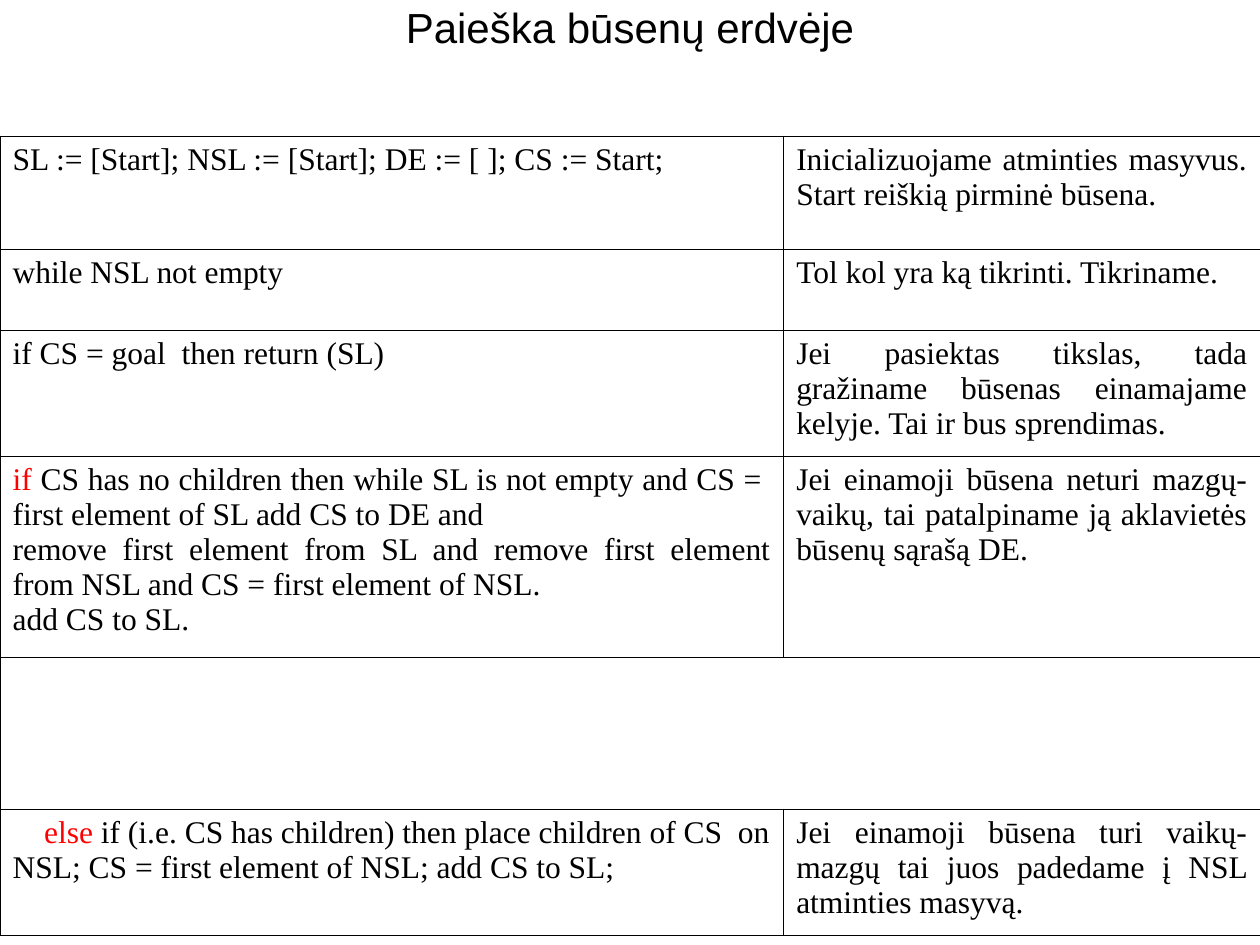
from dataclasses import dataclass

from lxml import etree
from pptx import Presentation
from pptx import util as u
from pptx.dml import color
from pptx.enum import text
from pptx.oxml import ns


@dataclass(frozen=True)
class Theme:
    ink: color.RGBColor = color.RGBColor(0, 0, 0)
    accent: color.RGBColor = color.RGBColor(255, 0, 0)
    paper: color.RGBColor = color.RGBColor(255, 255, 255)
    title_font: str = "Arial"
    body_font: str = "Times New Roman"
    title_size: u.Pt = u.Pt(24)
    body_size: u.Pt = u.Pt(18)
    border: u.Pt = u.Pt(0.45)


@dataclass(frozen=True)
class Line:
    words: str
    keyword: str = ""
    indent: float = 0
    align: text.PP_ALIGN = text.PP_ALIGN.JUSTIFY


@dataclass(frozen=True)
class Step:
    height: float
    code: tuple[Line, ...] = ()
    meaning: str = ""


THEME = Theme()
LEFT = text.PP_ALIGN.LEFT
COLUMNS = (6.22, 3.78)
STEPS = (
    Step(0.9, (Line("SL := [Start]; NSL := [Start]; DE := [ ]; CS := Start;"),),
         "Inicializuojame atminties masyvus. Start reiškią pirminė būsena."),
    Step(0.64, (Line("while NSL not empty"),), "Tol kol yra ką tikrinti. Tikriname."),
    Step(1, (Line("if CS = goal  then return (SL)", align=LEFT),),
         "Jei pasiektas tikslas, tada gražiname būsenas einamajame kelyje. "
         "Tai ir bus sprendimas."),
    Step(1.6, (
        Line(" CS has no children then while SL is not empty and CS =  "
             "first element of SL add CS to DE and", keyword="if"),
        Line("remove first element from SL and remove first element from NSL "
             "and CS = first element of NSL."),
        Line("add CS to SL."),
    ), "Jei einamoji būsena neturi mazgų-vaikų, tai patalpiname ją aklavietės "
       "būsenų sąrašą DE."),
    Step(1.2),
    Step(1, (Line(" if (i.e. CS has children) then place children of CS  on NSL; "
                  "CS = first element of NSL; add CS to SL;",
                  keyword="else", indent=0.25, align=LEFT),),
         "Jei einamoji būsena turi vaikų-mazgų tai juos padedame į NSL "
         "atminties masyvą."),
)


def draw_title(page, words: str) -> None:
    box = page.shapes.add_textbox(u.Inches(0.75), 0, u.Inches(8.5), u.Inches(0.42))
    frame = box.text_frame
    frame.word_wrap = True
    frame.vertical_anchor = text.MSO_ANCHOR.MIDDLE
    frame.margin_top = frame.margin_bottom = 0
    para = frame.paragraphs[0]
    para.text = words
    para.alignment = text.PP_ALIGN.CENTER
    para.font.name = THEME.title_font
    para.font.size = THEME.title_size
    para.font.color.rgb = THEME.ink


def style_cell(cell) -> None:
    properties = cell._tc.get_or_add_tcPr()
    for side in ("a:lnL", "a:lnR", "a:lnT", "a:lnB"):
        edge = etree.SubElement(properties, ns.qn(side), w=str(int(THEME.border)))
        fill = etree.SubElement(edge, ns.qn("a:solidFill"))
        etree.SubElement(fill, ns.qn("a:srgbClr"), val=str(THEME.ink))
    cell.fill.solid()
    cell.fill.fore_color.rgb = THEME.paper


def write_cell(cell, lines: tuple[Line, ...]) -> None:
    frame = cell.text_frame
    for index, line in enumerate(lines):
        para = frame.add_paragraph() if index else frame.paragraphs[0]
        para.alignment = line.align
        para.font.name = THEME.body_font
        para.font.size = THEME.body_size
        para.font.color.rgb = THEME.ink
        if line.indent:
            para._p.get_or_add_pPr().set("indent", str(u.Inches(line.indent)))
        if line.keyword:
            span = para.add_run()
            span.text = line.keyword
            span.font.color.rgb = THEME.accent
        para.add_run().text = line.words


def draw_steps(page, steps: tuple[Step, ...]) -> None:
    height = sum(step.height for step in steps)
    frame = page.shapes.add_table(len(steps), len(COLUMNS), 0, u.Inches(1.08),
                                  u.Inches(sum(COLUMNS)), u.Inches(height))
    table = frame.table
    table.first_row = table.horz_banding = False
    for column, width in zip(table.columns, COLUMNS):
        column.width = u.Inches(width)
    for cell in table.iter_cells():
        style_cell(cell)
    for index, step in enumerate(steps):
        table.rows[index].height = u.Inches(step.height)
        code, meaning = table.cell(index, 0), table.cell(index, 1)
        if step.code:
            write_cell(code, step.code)
            write_cell(meaning, (Line(step.meaning),))
        else:
            code.merge(meaning)


def main() -> None:
    deck = Presentation()
    deck.slide_width, deck.slide_height = u.Inches(10), u.Inches(7.5)
    page = deck.slides.add_slide(deck.slide_layouts[6])
    draw_title(page, "Paieška būsenų erdvėje")
    draw_steps(page, STEPS)
    deck.save("out.pptx")


if __name__ == "__main__":
    main()
